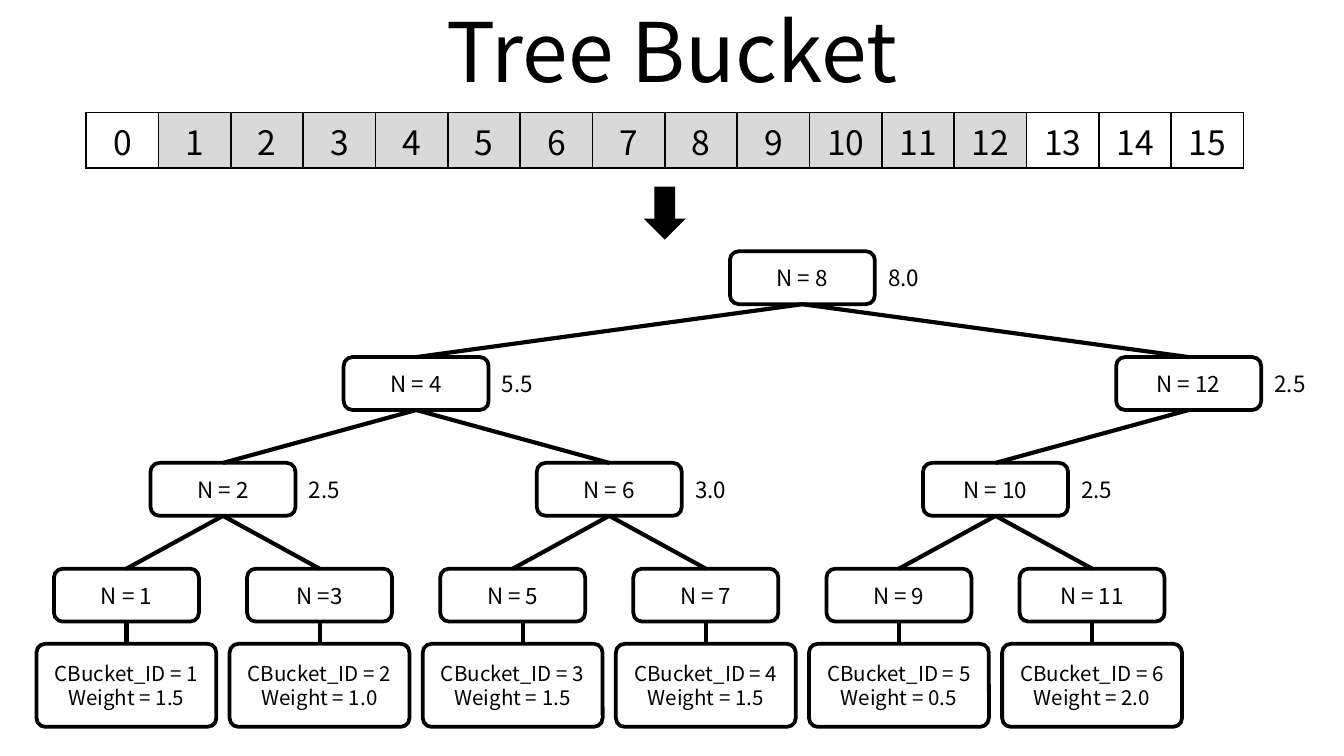
from lxml.etree import SubElement
from pptx import Presentation
from pptx.dml.color import RGBColor
from pptx.enum.shapes import MSO_CONNECTOR, MSO_SHAPE
from pptx.enum.text import MSO_ANCHOR, PP_ALIGN
from pptx.oxml.ns import qn
from pptx.util import Cm, Pt

FONT = "Noto Sans CJK KR"
BLACK, WHITE, GREY = "000000", "FFFFFF", "D9D9D9"
FIRST_X, STEP_X = 2.39, 1.825
BOTTOM_Y, LEVEL_GAP = 10.75, 2
NODE_W, NODE_H = 2.74, 1
LEAF_W, LEAF_H, LEAF_Y = 3.4, 1.57, 12.17

NODE_WEIGHTS = {8: "8.0", 4: "5.5", 12: "2.5", 2: "2.5", 6: "3.0", 10: "2.5"}
BUCKET_WEIGHTS = ["1.5", "1.0", "1.5", "1.5", "0.5", "2.0"]
NODES = range(1, 13)
STEM_SHIFT = {5: 0.2}


def color(hex_value):
    return RGBColor.from_string(hex_value)


def write(frame, text, size):
    frame.text = text
    frame.vertical_anchor = MSO_ANCHOR.MIDDLE
    for paragraph in frame.paragraphs:
        paragraph.alignment = PP_ALIGN.CENTER
        paragraph.font.name = FONT
        paragraph.font.size = Pt(size)
        paragraph.font.color.rgb = color(BLACK)


def add_label(slide, text, left, top, width, height, size):
    label = slide.shapes.add_textbox(Cm(left), Cm(top), Cm(width), Cm(height))
    frame = label.text_frame
    frame.margin_left = frame.margin_right = 0
    frame.margin_top = frame.margin_bottom = 0
    frame.word_wrap = False
    write(frame, text, size)


def add_box(slide, text, center, top, width, height, size, rounding):
    box = slide.shapes.add_shape(
        MSO_SHAPE.ROUNDED_RECTANGLE,
        Cm(center - width / 2), Cm(top), Cm(width), Cm(height))
    box.adjustments[0] = rounding
    box.shadow.inherit = False
    box.fill.solid()
    box.fill.fore_color.rgb = color(WHITE)
    box.line.color.rgb = color(BLACK)
    box.line.width = Pt(2)
    box.text_frame.margin_left = box.text_frame.margin_right = 0
    write(box.text_frame, text, size)


def add_edge(slide, x1, y1, x2, y2):
    edge = slide.shapes.add_connector(
        MSO_CONNECTOR.STRAIGHT, Cm(x1), Cm(y1), Cm(x2), Cm(y2))
    edge.line.color.rgb = color(BLACK)
    edge.line.width = Pt(2.25)
    SubElement(edge._element.spPr, qn("a:effectLst"))


def add_borders(cell):
    properties = cell._tc.get_or_add_tcPr()
    for side in ("lnL", "lnR", "lnT", "lnB"):
        border = SubElement(properties, qn(f"a:{side}"), w=str(Pt(1)))
        fill = SubElement(border, qn("a:solidFill"))
        SubElement(fill, qn("a:srgbClr"), val=BLACK)


def add_slots(slide):
    width, height, count = 1.367, 1.05, 16
    table = slide.shapes.add_table(
        1, count, Cm(1.63), Cm(2.13), Cm(width * count), Cm(height)).table
    table.first_row = table.horz_banding = False
    for number, column in enumerate(table.columns):
        column.width = Cm(width)
        cell = table.cell(0, number)
        cell.margin_left = cell.margin_right = 0
        cell.margin_top = cell.margin_bottom = 0
        add_borders(cell)
        cell.fill.solid()
        cell.fill.fore_color.rgb = color(GREY if number in NODES else WHITE)
        write(cell.text_frame, str(number), 18)
        cell.vertical_anchor = MSO_ANCHOR.MIDDLE


def add_down_arrow(slide):
    arrow = slide.shapes.add_shape(
        MSO_SHAPE.DOWN_ARROW, Cm(12.17), Cm(3.53), Cm(0.79), Cm(1))
    arrow.shadow.inherit = False
    arrow.fill.solid()
    arrow.fill.fore_color.rgb = color(BLACK)
    arrow.line.fill.background()


def lowest_bit(node):
    return node & -node


def parent_of(node):
    bit = lowest_bit(node)
    return (node - bit) | (2 * bit)


def node_x(node):
    return FIRST_X + (node - 1) * STEP_X


def node_y(node):
    level = lowest_bit(node).bit_length() - 1
    return BOTTOM_Y - level * LEVEL_GAP


def add_tree(slide):
    for index, weight in enumerate(BUCKET_WEIGHTS):
        add_box(slide, f"CBucket_ID = {index + 1}\nWeight = {weight}",
                node_x(2 * index + 1), LEAF_Y, LEAF_W, LEAF_H, 11, 0.106)
    for node in NODES:
        text = "N =3" if node == 3 else f"N = {node}"
        add_box(slide, text, node_x(node), node_y(node),
                NODE_W, NODE_H, 12, 0.167)
    for node in NODES:
        x, y = node_x(node), node_y(node)
        if node != 8:
            parent = parent_of(node)
            add_edge(slide, node_x(parent), node_y(parent) + NODE_H, x, y)
        if node in NODE_WEIGHTS:
            add_label(slide, NODE_WEIGHTS[node], x + NODE_W / 2, y + 0.18,
                      1.09, 0.64, 12)
        else:
            stem = x + STEM_SHIFT.get(node, 0)
            add_edge(slide, stem, y + NODE_H, stem, LEAF_Y)


def main():
    presentation = Presentation()
    presentation.slide_width = Cm(25.4)
    presentation.slide_height = Cm(14.29)
    slide = presentation.slides.add_slide(presentation.slide_layouts[6])
    add_label(slide, "Tree Bucket", 1.27, -0.25, 22.86, 2.39, 44)
    add_slots(slide)
    add_down_arrow(slide)
    add_tree(slide)
    presentation.save("out.pptx")


if __name__ == "__main__":
    main()
